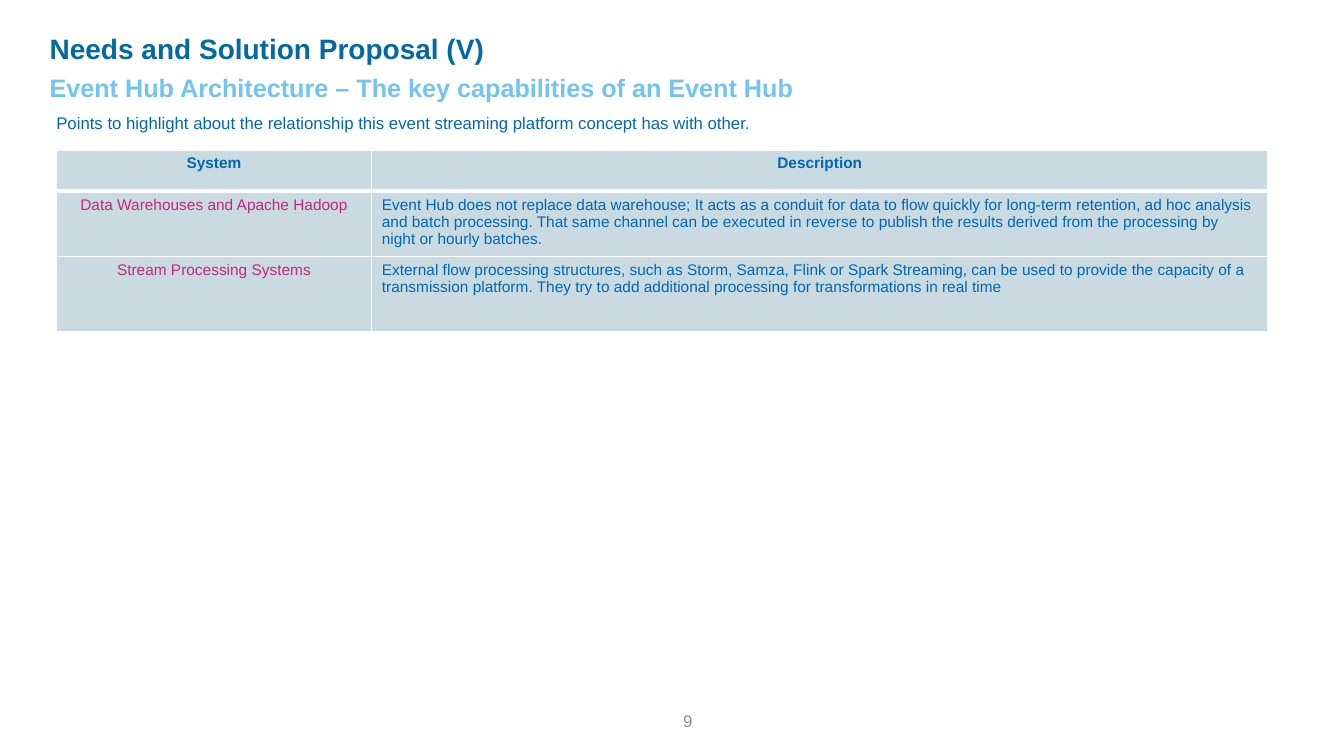
from lxml.etree import SubElement
from pptx import Presentation
from pptx.dml.color import RGBColor
from pptx.enum.text import MSO_ANCHOR, MSO_AUTO_SIZE, PP_ALIGN
from pptx.oxml.ns import qn
from pptx.util import Cm, Pt

COLORS = {
    "title": "016AA2",
    "subtitle": "73C4EF",
    "text": "0067B7",
    "system": "C5277F",
    "cell": "C9DAE1",
    "border": "FFFFFF",
    "number": "8C8C8C",
}

ROWS = [
    ("System", "Description"),
    ("Data Warehouses and Apache Hadoop",
     "Event Hub does not replace data warehouse; It acts as a conduit for data to flow "
     "quickly for long-term retention, ad hoc analysis and batch processing. That same "
     "channel can be executed in reverse to publish the results derived from the "
     "processing by night or hourly batches."),
    ("Stream Processing Systems",
     "External flow processing structures, such as Storm, Samza, Flink or Spark Streaming, "
     "can be used to provide the capacity of a transmission platform. They try to add "
     "additional processing for transformations in real time"),
]


class SlideBuilder:
    font = "Arial"

    def __init__(self, prs):
        self.s = prs.slides.add_slide(prs.slide_layouts[5])

    def add_text(self, tf, text, size, color, bold=False, align=PP_ALIGN.LEFT):
        p = tf.paragraphs[0]
        p.alignment = align
        r = p.add_run()
        r.text = text
        r.font.name = self.font
        r.font.size = Pt(size)
        r.font.bold = bold
        r.font.color.rgb = RGBColor.from_string(COLORS[color])

    def frame(self, tf, side, anchor=MSO_ANCHOR.TOP):
        tf.word_wrap = True
        tf.auto_size = MSO_AUTO_SIZE.NONE
        tf.vertical_anchor = anchor
        tf.margin_left = tf.margin_right = Cm(side)
        tf.margin_top = tf.margin_bottom = Cm(0.13)

    def title(self, text, left, top, width, height, size):
        sp = self.s.shapes.title
        sp.left, sp.top, sp.width, sp.height = Cm(left), Cm(top), Cm(width), Cm(height)
        self.frame(sp.text_frame, 0.13)
        self.add_text(sp.text_frame, text, size, "title", bold=True)

    def text(self, text, left, top, width, height, size, color, side=0.25,
             anchor=MSO_ANCHOR.TOP, **style):
        sp = self.s.shapes.add_textbox(Cm(left), Cm(top), Cm(width), Cm(height))
        self.frame(sp.text_frame, side, anchor)
        self.add_text(sp.text_frame, text, size, color, **style)

    def borders(self, cell, top, bottom):
        tcPr = cell._tc.get_or_add_tcPr()
        widths = {"a:lnL": 1, "a:lnR": 1, "a:lnT": top, "a:lnB": bottom}
        for i, (tag, width) in enumerate(widths.items()):
            ln = SubElement(tcPr, qn(tag), w=str(Pt(width)))
            fill = SubElement(ln, qn("a:solidFill"))
            SubElement(fill, qn("a:srgbClr"), val=COLORS["border"])
            tcPr.insert(i, ln)

    def table(self, rows, left, top, widths, heights, size):
        shape = self.s.shapes.add_table(len(rows), len(widths), Cm(left), Cm(top),
                                        Cm(sum(widths)), Cm(sum(heights)))
        table = shape.table
        for column, width in zip(table.columns, widths):
            column.width = Cm(width)
        for i, (row, height) in enumerate(zip(rows, heights)):
            table.rows[i].height = Cm(height)
            for j, text in enumerate(row):
                cell = table.cell(i, j)
                cell.fill.solid()
                cell.fill.fore_color.rgb = RGBColor.from_string(COLORS["cell"])
                # A thick rule separates the header from the body
                self.borders(cell, 3 if i == 1 else 1, 3 if i == 0 else 1)
                header, system = i == 0, j == 0
                self.add_text(cell.text_frame, text, size,
                              "system" if system and not header else "text", bold=header,
                              align=PP_ALIGN.CENTER if header or system else PP_ALIGN.LEFT)


def main():
    prs = Presentation()
    prs.slide_width, prs.slide_height = Cm(33.87), Cm(19.05)
    slide = SlideBuilder(prs)

    # Headings
    slide.title("Needs and Solution Proposal (V)", 1.12, 0.66, 21.08, 1.12, 20)
    slide.text("Event Hub Architecture – The key capabilities of an Event Hub",
               1.12, 1.7, 24.38, 1.02, 18, "subtitle", side=0.13, bold=True)
    slide.text("Points to highlight about the relationship this event streaming platform "
               "concept has with other.", 1.17, 2.72, 30.78, 0.76, 12, "text")

    # Related systems
    slide.table(ROWS, 1.42, 3.78, [7.95, 22.58], [1.04, 1.65, 1.88], 11)

    # Page number
    slide.text("9", 8.48, 17.65, 9.22, 1.02, 12, "number",
               anchor=MSO_ANCHOR.MIDDLE, align=PP_ALIGN.RIGHT)

    prs.save("out.pptx")


if __name__ == "__main__":
    main()
